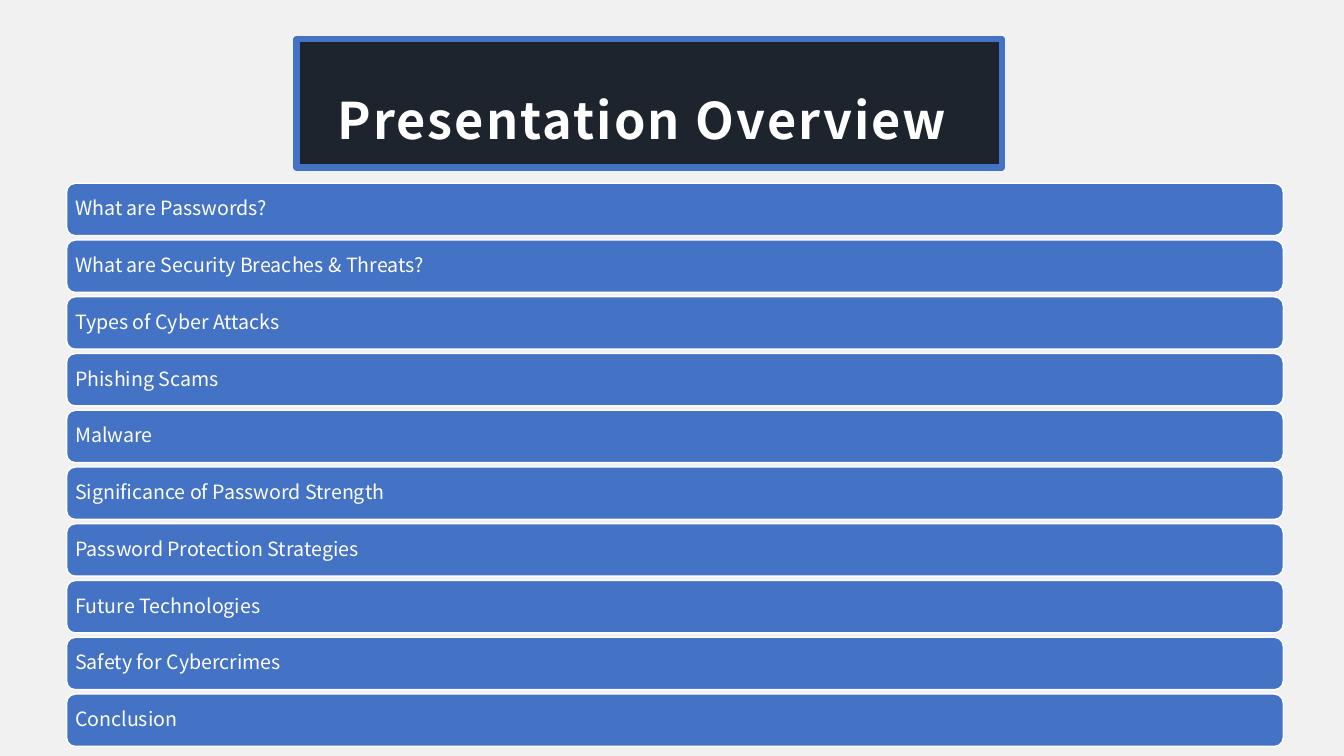
from pptx import Presentation
from pptx import util as u
from pptx.dml.color import RGBColor
from pptx.enum import shapes, text

TITLE = "Presentation Overview "
TOPICS = [
    "What are Passwords?",
    "What are Security Breaches & Threats?",
    "Types of Cyber Attacks",
    "Phishing Scams",
    "Malware",
    "Significance of Password Strength",
    "Password Protection Strategies",
    "Future Technologies",
    "Safety for Cybercrimes",
    "Conclusion",
]
COLOURS = {"background": "F2F1F1", "dark": "1D242E", "blue": "4472C4", "white": "FFFFFF"}
FONT = "Noto Sans CJK JP"

# Lengths in centimetres: left, top, width, height
TITLE_BOX = (7.47, 0.99, 17.78, 3.23)
FIRST_BAR = (1.68, 4.62, 30.66, 1.32)
BAR_PITCH = 1.43

TITLE_STYLE = {
    "fill": "dark", "line": "blue", "line_width": 4.5,
    "margins": (0.3, 0.3, 0.3, 0.25),
    "paragraph": {"alignment": text.PP_ALIGN.CENTER, "line_spacing": 1.5, "space_after": u.Pt(6)},
    "font": {"name": FONT, "size": u.Pt(36), "bold": True},
    "tracking": 150,
}
BAR_STYLE = {
    "fill": "blue", "line": "white", "line_width": 1,
    "margins": (0.15, 0.15, 0.15, 0.15),
    "paragraph": {"alignment": text.PP_ALIGN.LEFT, "line_spacing": 0.9, "space_after": u.Pt(4.9)},
    "font": {"name": FONT, "size": u.Pt(14), "bold": False},
    "tracking": 0,
}


def colour(name):
    return RGBColor.from_string(COLOURS[name])


def set_attributes(target, values):
    for name, value in values.items():
        setattr(target, name, value)


def add_label(slide, preset, box, wording, style):
    """Add a filled, outlined shape that carries one line of text."""
    shape = slide.shapes.add_shape(preset, *map(u.Cm, box))
    shape.shadow.inherit = False
    shape.fill.solid()
    shape.fill.fore_color.rgb = colour(style["fill"])
    shape.line.color.rgb = colour(style["line"])
    shape.line.width = u.Pt(style["line_width"])

    frame = shape.text_frame
    sides = ("margin_left", "margin_top", "margin_right", "margin_bottom")
    set_attributes(frame, dict(zip(sides, map(u.Cm, style["margins"]))))
    set_attributes(frame, {"word_wrap": True, "vertical_anchor": text.MSO_ANCHOR.MIDDLE})

    paragraph = frame.paragraphs[0]
    set_attributes(paragraph, style["paragraph"])
    run = paragraph.add_run()
    run.text = wording
    set_attributes(run.font, style["font"])
    run.font.color.rgb = colour("white")
    if style["tracking"]:
        run._r.get_or_add_rPr().set("spc", str(style["tracking"]))


def main():
    presentation = Presentation()
    presentation.slide_width, presentation.slide_height = u.Cm(33.87), u.Cm(19.05)
    slide = presentation.slides.add_slide(presentation.slide_layouts[6])
    slide.background.fill.solid()
    slide.background.fill.fore_color.rgb = colour("background")

    add_label(slide, shapes.MSO_SHAPE.RECTANGLE, TITLE_BOX, TITLE, TITLE_STYLE)
    left, top, width, height = FIRST_BAR
    for index, topic in enumerate(TOPICS):
        bar = (left, top + index * BAR_PITCH, width, height)
        add_label(slide, shapes.MSO_SHAPE.ROUNDED_RECTANGLE, bar, topic, BAR_STYLE)

    presentation.save("out.pptx")


if __name__ == "__main__":
    main()
